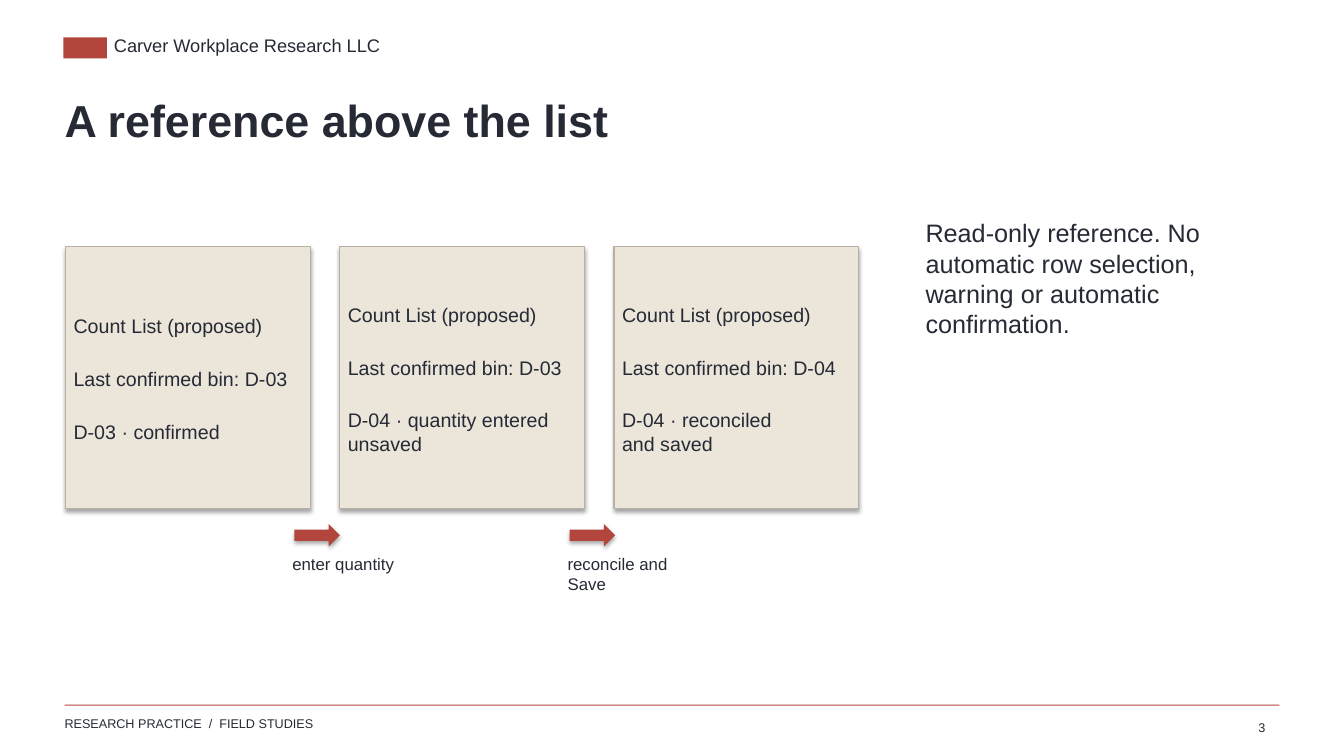
from dataclasses import dataclass

from pptx import Presentation
from pptx import util as u
from pptx.dml.color import RGBColor
from pptx.enum import shapes, text

PX = 9144  # EMU per px, 100 px to the inch


@dataclass(frozen=True)
class Theme:
    font: str = "Arial"
    ink: str = "252A35"
    accent: str = "B3463C"
    card: str = "ECE5DA"
    border: str = "B9AFA4"
    title: int = 32
    note: int = 18
    card_text: int = 14
    brand: int = 13
    step: int = 12
    footer: int = 9
    group_gap: int = 21


THEME = Theme()
INSET = (8, 6, 8, 4)
FLUSH = (0, 0, 10, 5)


def box_emu(box):
    return [round(length * PX) for length in box]


def color(value):
    return RGBColor.from_string(value)


def style_text(frame, size, inset=INSET, bold=False):
    frame.margin_left, frame.margin_top, frame.margin_right, frame.margin_bottom = box_emu(inset)
    for paragraph in frame.paragraphs:
        for run in paragraph.runs:
            run.font.name = THEME.font
            run.font.size = u.Pt(size)
            run.font.bold = bold
            run.font.color.rgb = color(THEME.ink)


def add_label(slide, box, words, size, inset=INSET, bold=False, wrap=True,
              align=text.PP_ALIGN.LEFT):
    frame = slide.shapes.add_textbox(*box_emu(box)).text_frame
    frame.word_wrap = wrap
    frame.text = words
    frame.paragraphs[0].alignment = align
    style_text(frame, size, inset, bold)


def add_block(slide, kind, box, fill, border=None, raised=False):
    block = slide.shapes.add_shape(kind, *box_emu(box))
    block.fill.solid()
    block.fill.fore_color.rgb = color(fill)
    if border:
        block.line.color.rgb = color(border)
        block.line.width = u.Pt(0.75)
    else:
        block.line.fill.background()
    if not raised:
        block.shadow.inherit = False
    return block


def add_card(slide, box, groups):
    """Draw a card; each group of lines is set apart from the one above."""
    card = add_block(slide, shapes.MSO_SHAPE.RECTANGLE, box, THEME.card,
                     THEME.border, raised=True)
    frame = card.text_frame
    frame.word_wrap = True
    frame.vertical_anchor = text.MSO_ANCHOR.MIDDLE
    frame.text = "\n".join(line for group in groups for line in group)
    paragraphs = iter(frame.paragraphs)
    for group_index, group in enumerate(groups):
        for line_index in range(len(group)):
            paragraph = next(paragraphs)
            paragraph.alignment = text.PP_ALIGN.LEFT
            if group_index and not line_index:
                paragraph.space_before = u.Pt(THEME.group_gap)
    style_text(frame, THEME.card_text)


def add_step(slide, left, words):
    add_block(slide, shapes.MSO_SHAPE.RIGHT_ARROW, (left, 520, 45, 22),
              THEME.accent, raised=True)
    add_label(slide, (left - 10, 543, 150, 70), words, THEME.step)


def add_header_and_footer(slide):
    bar = shapes.MSO_SHAPE.RECTANGLE
    add_block(slide, bar, (63, 37, 43, 21), THEME.accent)
    add_label(slide, (113, 34, 550, 30), "Carver Workplace Research LLC",
              THEME.brand, FLUSH, wrap=False)
    add_block(slide, bar, (64, 699, 1205, 1), THEME.accent)
    add_label(slide, (64, 710, 550, 24), "RESEARCH PRACTICE  /  FIELD STUDIES",
              THEME.footer, FLUSH, wrap=False)
    add_label(slide, (1213, 708, 50, 20), "3", THEME.footer,
              align=text.PP_ALIGN.RIGHT)


def main():
    deck = Presentation()
    deck.slide_width, deck.slide_height = box_emu((1333, 750))
    slide = deck.slides.add_slide(deck.slide_layouts[6])

    add_header_and_footer(slide)
    add_label(slide, (64, 92, 1200, 100), "A reference above the list",
              THEME.title, (0, 0, 0, 5), bold=True)

    # Three states of the list
    states = [
        ("D-03", ["D-03 · confirmed"]),
        ("D-03", ["D-04 · quantity entered", "unsaved"]),
        ("D-04", ["D-04 · reconciled", "and saved"]),
    ]
    for index, (last_bin, status) in enumerate(states):
        groups = [["Count List (proposed)"], [f"Last confirmed bin: {last_bin}"], status]
        add_card(slide, (65 + 272 * index, 245, 243, 260), groups)

    # Actions between the states
    for index, action in enumerate(["enter quantity", "reconcile and Save"]):
        add_step(slide, 292 + 273 * index, action)

    # Side note
    add_label(slide, (910, 210, 350, 420),
              "Read-only reference. No automatic row selection, "
              "warning or automatic confirmation.", THEME.note)

    deck.save("out.pptx")


if __name__ == "__main__":
    main()
